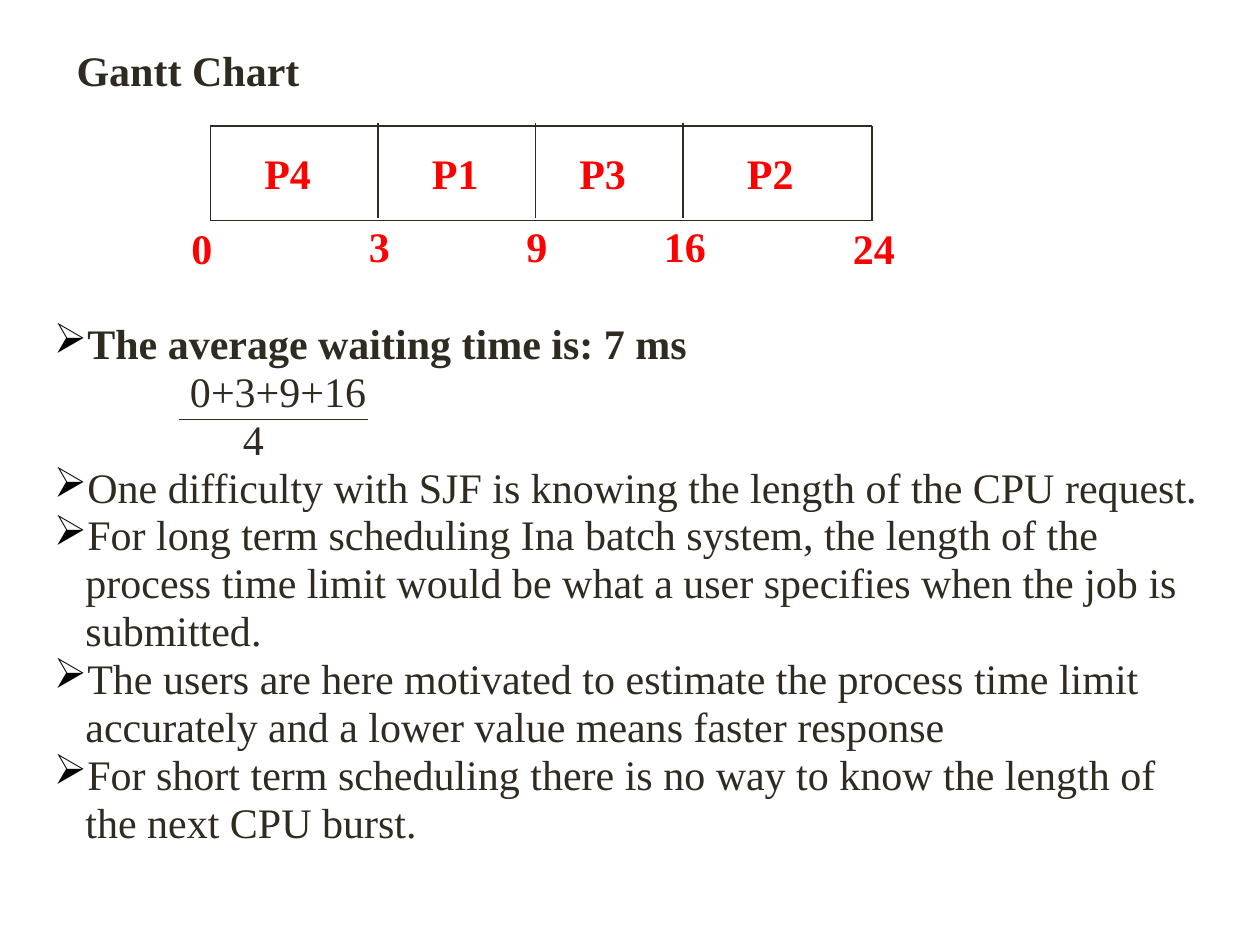
import pptx
import pptx.util
from lxml import etree
from pptx.dml.color import RGBColor
from pptx.enum.shapes import MSO_CONNECTOR
from pptx.enum.text import MSO_AUTO_SIZE
from pptx.oxml.ns import qn
from pptx.util import Inches

DARK, RED, BLACK = "2F2B20", "FF0000", "000000"


def rgb(hex_color):
    return RGBColor.from_string(hex_color)


class SlideBuilder:
    font = "Times New Roman"
    size = 24
    spacing = 0.95
    hanging = 0.25

    def __init__(self, slide):
        self.s = slide

    def line(self, x1, y1, x2, y2):
        sp = self.s.shapes.add_connector(
            MSO_CONNECTOR.STRAIGHT, Inches(x1), Inches(y1), Inches(x2), Inches(y2))
        sp.line.color.rgb = rgb(DARK)
        sp.line.width = pptx.util.Pt(1)
        etree.SubElement(sp._element.spPr, qn("a:effectLst"))

    def bullet(self, p):
        pPr = p._p.get_or_add_pPr()
        pPr.set("indent", str(-Inches(self.hanging)))
        color = etree.SubElement(pPr, qn("a:buClr"))
        etree.SubElement(color, qn("a:srgbClr"), val=BLACK)
        etree.SubElement(pPr, qn("a:buChar"), char="➢")

    def text(self, x, y, w, h, paragraphs, color=DARK, wrap=True):
        """Add a text box; each paragraph is (text, bold, left indent, bulleted)."""
        sp = self.s.shapes.add_textbox(Inches(x), Inches(y), Inches(w), Inches(h))
        tf = sp.text_frame
        tf.word_wrap = wrap
        tf.auto_size = MSO_AUTO_SIZE.SHAPE_TO_FIT_TEXT
        for i, (text, bold, indent, bulleted) in enumerate(paragraphs):
            p = tf.add_paragraph() if i else tf.paragraphs[0]
            p.line_spacing = self.spacing
            p._p.get_or_add_pPr().set("marL", str(Inches(indent)))
            if bulleted:
                self.bullet(p)
            r = p.add_run()
            r.text = text
            r.font.name = self.font
            r.font.size = pptx.util.Pt(self.size)
            r.font.bold = bold
            r.font.color.rgb = rgb(color)

    def label(self, x, y, w, text, color=RED, wrap=True):
        self.text(x, y, w, 0.48, [(text, True, 0, False)], color, wrap)

    def points(self, x, y, w, h, paragraphs):
        self.text(x, y, w, h, paragraphs)


def main():
    prs = pptx.Presentation()
    prs.slide_width, prs.slide_height = Inches(10), Inches(7.5)
    b = SlideBuilder(prs.slides.add_slide(prs.slide_layouts[6]))

    b.label(0.51, 0.33, 1.97, "Gantt Chart", DARK, wrap=False)

    left, right, top, height = 1.67, 6.92, 1, 0.75
    for y in (top, top + height):
        b.line(left, y, right, y)
    for x in (left, right):
        b.line(x, top, x, top + height)
    for x in (3, 4.25, 5.42):
        b.line(x, top - 0.02, x, top + height - 0.02)

    for x, process in ((2, "P4"), (3.33, "P1"), (4.5, "P3"), (5.83, "P2")):
        b.label(x, 1.15, 0.67, process)
    times = ((1.42, 1.75, 0.5, "0"), (2.83, 1.73, 0.5, "3"), (4.08, 1.73, 0.5, "9"),
             (5.17, 1.73, 0.58, "16"), (6.67, 1.75, 0.67, "24"))
    for x, y, w, time in times:
        b.label(x, y, w, time)

    notes = (
        "One difficulty with SJF is knowing the length of the CPU request.",
        "For long term scheduling Ina batch system, the length of the process time "
        "limit would be what a user specifies when the job is submitted.",
        "The users are here motivated to estimate the process time limit accurately "
        "and a lower value means faster response",
        "For short term scheduling there is no way to know the length of the next "
        "CPU burst.",
    )
    b.points(0.33, 2.5, 9.33, 4.28, [
        ("The average waiting time is: 7 ms", True, b.hanging, True),
        ("0+3+9+16", False, 1.08, False),
        ("4", False, 1.5, False),
        *((note, False, b.hanging, True) for note in notes),
    ])
    b.line(1.42, 3.33, 2.92, 3.33)

    prs.save("out.pptx")


if __name__ == "__main__":
    main()
